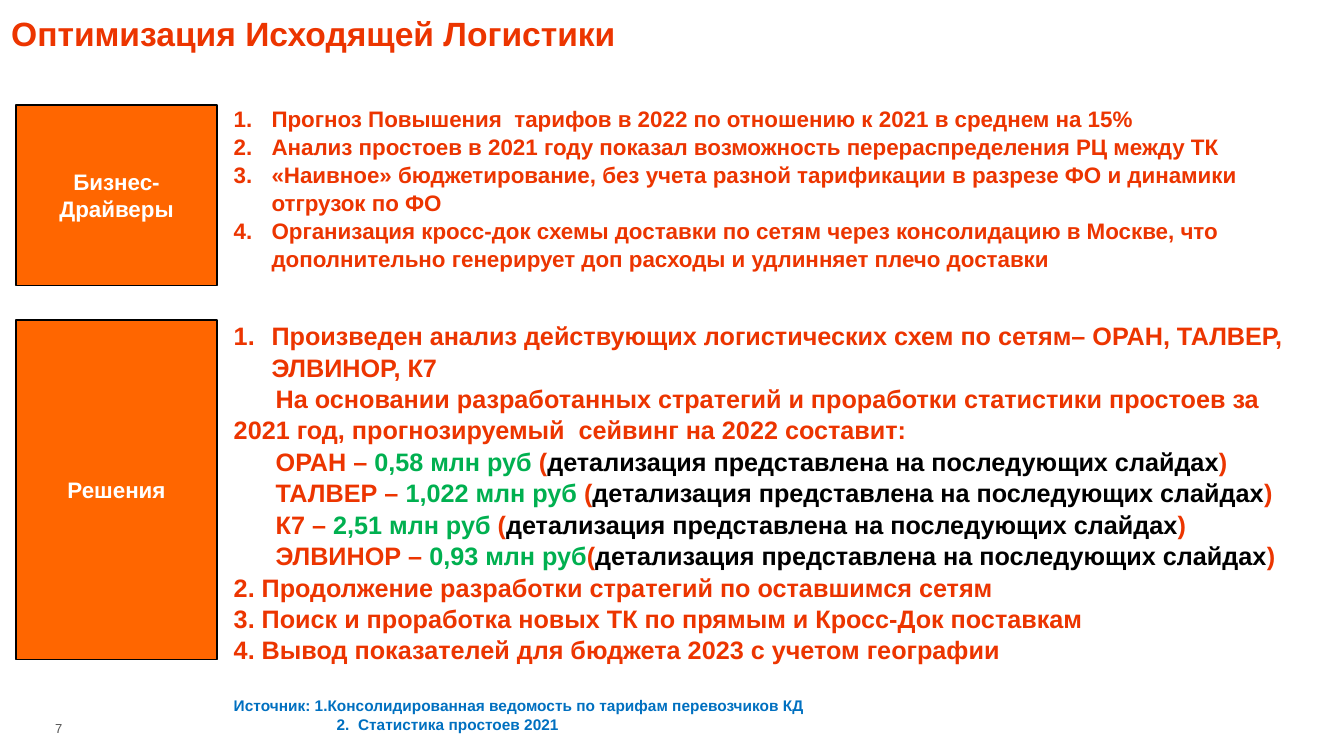
from lxml import etree
from pptx import Presentation
from pptx.dml.color import RGBColor
from pptx.enum import shapes, text
from pptx.oxml.ns import qn
from pptx.util import Pt

RED, GREEN, BLACK, BLUE = "EC3500", "00B050", "000000", "0070C0"
ORANGE, WHITE, GREY = "FF6600", "FFFFFF", "555555"
DETAIL = "детализация представлена на последующих слайдах"


def paint(target, color):
    target.rgb = RGBColor.from_string(color)


def write(frame, runs, size=18, color=RED, bold=True, align=None, indent=0,
          number=False, before=0, lead=1.0):
    """Add a paragraph; runs is a string or a list of (text, color)."""
    para = frame.paragraphs[0]
    if para.runs:
        para = frame.add_paragraph()
    para.alignment = align
    para.line_spacing = lead
    para.space_before = Pt(before)
    props = para._p.get_or_add_pPr()
    if number:
        props.set("marL", str(Pt(27)))
        props.set("indent", str(-Pt(27)))
        etree.SubElement(props, qn("a:buAutoNum"), type="arabicPeriod")
    elif indent:
        props.set("indent", str(Pt(indent)))
    for words, tint in [(runs, color)] if isinstance(runs, str) else runs:
        run = para.add_run()
        run.text = words
        run.font.name = "Arial"
        run.font.size = Pt(size)
        run.font.bold = bold
        paint(run.font.color, tint)


def frame_at(slide, left, top, width, height, anchor=text.MSO_ANCHOR.TOP, pad=0):
    frame = slide.shapes.add_textbox(Pt(left), Pt(top), Pt(width), Pt(height)).text_frame
    frame.word_wrap = True
    frame.vertical_anchor = anchor
    frame.margin_left = frame.margin_right = Pt(2 * pad)
    frame.margin_top = frame.margin_bottom = Pt(pad)
    return frame


def band(slide, top, height, lines):
    """Draw the orange label and return the text frame beside it."""
    left, label, gap, width = 11.5, 143.5, 12, 761
    box = slide.shapes.add_shape(shapes.MSO_SHAPE.FLOWCHART_PROCESS,
                                 Pt(left), Pt(top), Pt(label), Pt(height))
    box.shadow.inherit = False
    box.fill.solid()
    paint(box.fill.fore_color, ORANGE)
    paint(box.line.color, BLACK)
    box.line.width = Pt(1)
    box.text_frame.word_wrap = False
    box.text_frame.vertical_anchor = text.MSO_ANCHOR.MIDDLE
    for line in lines:
        write(box.text_frame, line, size=16, color=WHITE, align=text.PP_ALIGN.CENTER)
    return frame_at(slide, left + label + gap, top - 0.5, width, height)


def head(slide, left, top, width, height):
    write(frame_at(slide, left, top, width, height), "Оптимизация Исходящей Логистики", size=24)


def drivers(slide, top, height):
    frame = band(slide, top, height, ["Бизнес-", "Драйверы"])
    for item in [
        "Прогноз Повышения  тарифов в 2022 по отношению к 2021 в среднем на 15%",
        "Анализ простоев в 2021 году показал возможность перераспределения РЦ между ТК",
        "«Наивное» бюджетирование, без учета разной тарификации в разрезе ФО и динамики "
        "отгрузок по ФО",
        "Организация кросс-док схемы доставки по сетям через консолидацию в Москве, что "
        "дополнительно генерирует доп расходы и удлинняет плечо доставки",
    ]:
        write(frame, item, size=16, number=True, lead=1.04)


def actions(slide, top, height):
    frame = band(slide, top, height, ["Решения"])
    savings = [("ОРАН", "0,58 млн руб "), ("ТАЛВЕР", "1,022 млн руб "),
               ("К7", "2,51 млн руб "), ("ЭЛВИНОР", "0,93 млн руб")]
    write(frame, "Произведен анализ действующих логистических схем по сетям– "
          "ОРАН, ТАЛВЕР, ЭЛВИНОР, К7", number=True, lead=1.04)
    write(frame, "На основании разработанных стратегий и проработки статистики простоев за "
          "2021 год, прогнозируемый  сейвинг на 2022 составит:", indent=30, lead=1.04)
    # Savings by chain
    for chain, sum_ in savings:
        write(frame, [(f"{chain} – ", RED), (sum_, GREEN), ("(", RED),
                      (DETAIL, BLACK), (")", RED)], indent=30, lead=1.04)
    # Next steps
    for step in ["2. Продолжение разработки стратегий по оставшимся сетям",
                 "3. Поиск и проработка новых ТК по прямым и Кросс-Док поставкам",
                 "4. Вывод показателей для бюджета 2023 с учетом географии"]:
        write(frame, step, lead=1.04)
    # Sources
    write(frame, "Источник: 1.Консолидированная ведомость по тарифам перевозчиков КД",
          size=11, color=BLUE, before=21.5, lead=1.04)
    write(frame, "2.  Статистика простоев 2021", size=11, color=BLUE, indent=73.5, lead=1.04)


def foot(slide, left, top, width, height):
    frame = frame_at(slide, left, top, width, height, anchor=text.MSO_ANCHOR.MIDDLE)
    write(frame, "7", size=9.3, color=GREY, bold=False)


def main():
    deck = Presentation()
    deck.slide_width, deck.slide_height = Pt(960), Pt(540)
    slide = deck.slides.add_slide(deck.slide_layouts[6])
    head(slide, 8, 9, 837, 56)
    drivers(slide, 75, 129)
    actions(slide, 228.5, 242.5)
    foot(slide, 39.5, 510, 42, 21)
    deck.save("out.pptx")


if __name__ == "__main__":
    main()
